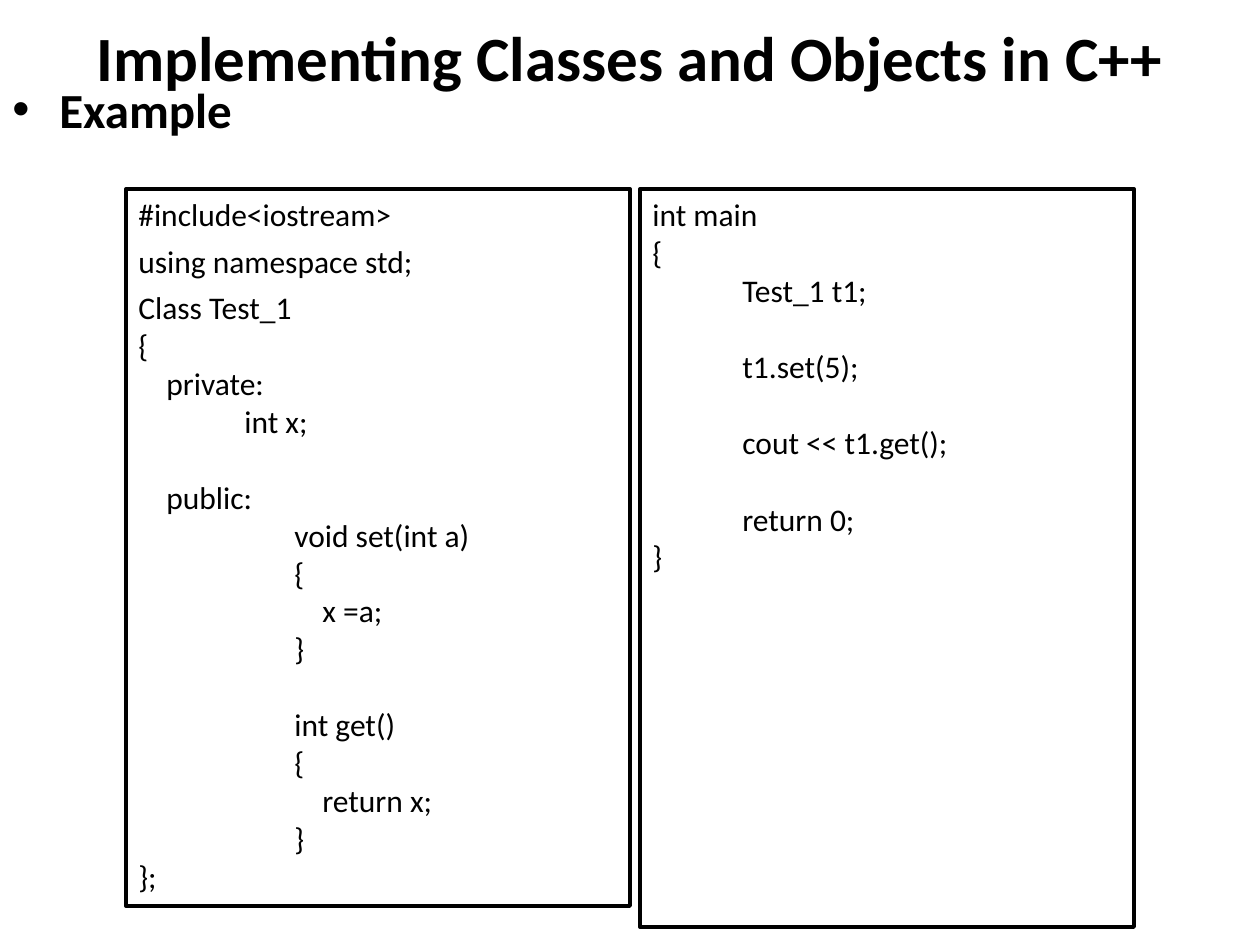
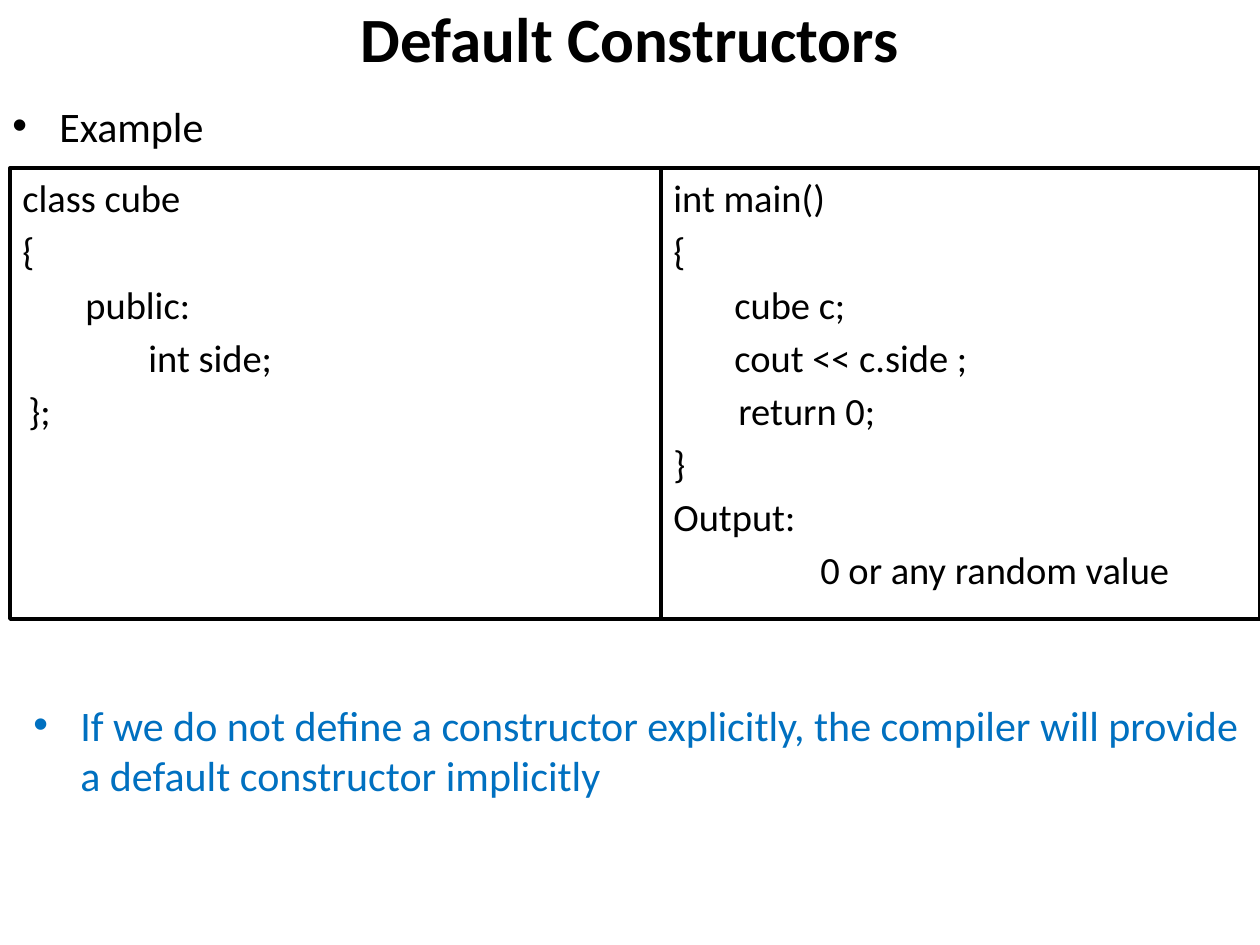
"""Builds two slides that show C++ code side by side."""
from dataclasses import dataclass

from lxml import etree
from pptx import Presentation
from pptx.dml.color import RGBColor
from pptx.enum.shapes import MSO_SHAPE
from pptx.enum.text import MSO_ANCHOR, PP_ALIGN
from pptx.oxml.ns import qn
from pptx.util import Emu, Pt

RECTANGLE = MSO_SHAPE.RECTANGLE
TOP, MIDDLE = MSO_ANCHOR.TOP, MSO_ANCHOR.MIDDLE
LEFT, CENTER = PP_ALIGN.LEFT, PP_ALIGN.CENTER

EMU_PER_PIXEL = 914400 / 126
PAGE_WIDTH, PAGE_HEIGHT = 1260, 945
TITLE_AREA = (0, -42, PAGE_WIDTH, 158)
BULLET_INDENT = 47
BLANK_LINE = 22  # points, one empty line of 18 point code


@dataclass(frozen=True)
class Theme:
    """Colours, font and sizes used on every slide."""
    font: str = "Calibri"
    ink: RGBColor = RGBColor(0x00, 0x00, 0x00)
    accent: RGBColor = RGBColor(0x00, 0x70, 0xC0)
    title_size: float = 36
    border: float = 2.25


THEME = Theme()

# A code line is (indent in pixels, space before in points, text).
TEST_CLASS = [
    (0, 0, "#include<iostream>"),
    (0, 5, "using namespace std;"),
    (0, 5, "Class Test_1"),
    (0, 0, "{"),
    (28, 0, "private:"),
    (106, 0, "int x;"),
    (28, BLANK_LINE, "public:"),
    (156, 0, "void set(int a)"),
    (156, 0, "{"),
    (184, 0, "x =a;"),
    (156, 0, "}"),
    (156, BLANK_LINE, "int get()"),
    (156, 0, "{"),
    (184, 0, "return x;"),
    (156, 0, "}"),
    (0, 0, "};"),
]
TEST_MAIN = [
    (0, 0, "int main"),
    (0, 0, "{"),
    (90, 0, "Test_1 t1;"),
    (90, BLANK_LINE, "t1.set(5);"),
    (90, BLANK_LINE, "cout << t1.get();"),
    (90, BLANK_LINE, "return 0;"),
    (0, 0, "}"),
]
CUBE_CLASS = [
    (0, 0, "class cube"),
    (0, 4, "{"),
    (63, 4, "public:"),
    (126, 4, "int side;"),
    (6, 4, "};"),
]
CUBE_MAIN = [
    (0, 0, "int main()"),
    (0, 4, "{"),
    (61, 4, "cube c;"),
    (61, 4, "cout << c.side ;"),
    (65, 4, "return 0;"),
    (0, 4, "}"),
    (0, 4, "Output:"),
    (147, 4, "0 or any random value"),
]

# Areas are (left, top, width, height).
PAGES = [
    {
        "title": "Implementing Classes and Objects in C++",
        "title_spacing": 1.5,
        "bullets": [
            {"text": "Example", "area": (0, 73, PAGE_WIDTH, 840),
             "size": 28, "bold": True, "color": THEME.ink},
        ],
        "code_size": 18,
        "code": [((126, 189, 504, 717), TEST_CLASS),
                 ((640, 189, 494, 738), TEST_MAIN)],
    },
    {
        "title": "Default Constructors",
        "title_spacing": 1.0,
        "bullets": [
            {"text": "Example", "area": (0, 94, PAGE_WIDTH, 851),
             "size": 24, "bold": False, "color": THEME.ink},
            {"text": "If we do not define a constructor explicitly, the "
                     "compiler will provide a default constructor implicitly",
             "area": (21, 693, 1239, 115),
             "size": 24, "bold": False, "color": THEME.accent},
        ],
        "code_size": 22,
        "code": [((10, 168, 651, 451), CUBE_CLASS),
                 ((661, 168, 599, 451), CUBE_MAIN)],
    },
]


def px(length):
    """Turn pixels into EMU."""
    return Emu(round(length * EMU_PER_PIXEL))


def style(paragraph, size, color=THEME.ink, bold=False, align=LEFT):
    """Set font and alignment of a whole paragraph."""
    paragraph.alignment = align
    font = paragraph.font
    font.name, font.size, font.bold = THEME.font, Pt(size), bold
    font.color.rgb = color


def add_text(page, area, text):
    """Add a wrapping text box with one paragraph; return frame and paragraph."""
    frame = page.shapes.add_textbox(*map(px, area)).text_frame
    frame.word_wrap = True
    paragraph = frame.paragraphs[0]
    paragraph.text = text
    return frame, paragraph


def add_title(page, text, spacing):
    """Add the centred slide title."""
    frame, paragraph = add_text(page, TITLE_AREA, text)
    frame.vertical_anchor = MIDDLE
    paragraph.line_spacing = spacing
    style(paragraph, THEME.title_size, bold=True, align=CENTER)


def add_bullet(page, text, area, size, bold, color):
    """Add a bullet point with a hanging indent."""
    _, paragraph = add_text(page, area, text)
    style(paragraph, size, color, bold)
    properties = paragraph._p.get_or_add_pPr()
    properties.set("marL", str(px(BULLET_INDENT)))
    properties.set("indent", str(-px(BULLET_INDENT)))
    bullet_font = etree.Element(qn("a:buFont"), typeface="Arial")
    bullet_mark = etree.Element(qn("a:buChar"), char="•")
    properties.insert(0, bullet_font)
    properties.insert(1, bullet_mark)


def add_code_box(page, area, lines, size):
    """Add a bordered box with indented lines of code."""
    box = page.shapes.add_shape(RECTANGLE, *map(px, area))
    box.shadow.inherit = False
    box.fill.background()
    box.line.color.rgb = THEME.ink
    box.line.width = Pt(THEME.border)
    frame = box.text_frame
    frame.word_wrap = True
    frame.vertical_anchor = TOP
    for number, (indent, space, text) in enumerate(lines):
        paragraph = frame.add_paragraph() if number else frame.paragraphs[0]
        paragraph.text = text
        paragraph.space_before = Pt(space)
        style(paragraph, size)
        paragraph._p.get_or_add_pPr().set("marL", str(px(indent)))


def build():
    """Build and save the deck."""
    deck = Presentation()
    deck.slide_width, deck.slide_height = px(PAGE_WIDTH), px(PAGE_HEIGHT)
    for content in PAGES:
        page = deck.slides.add_slide(deck.slide_layouts[6])
        add_title(page, content["title"], content["title_spacing"])
        for bullet in content["bullets"]:
            add_bullet(page, **bullet)
        for area, lines in content["code"]:
            add_code_box(page, area, lines, content["code_size"])
    deck.save("out.pptx")


build()
